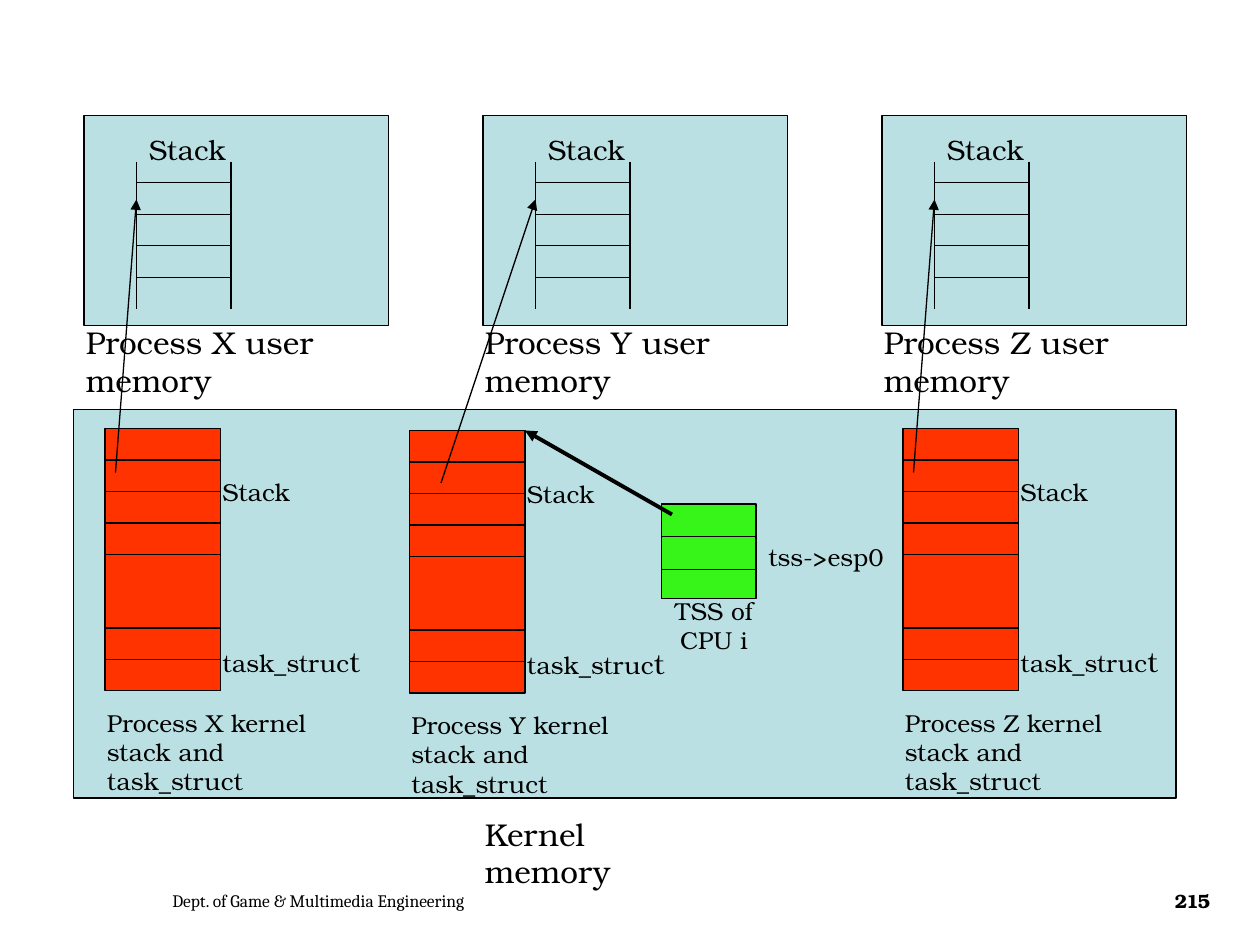
import pptx
import pptx.util
import pptx.dml.color
import pptx.enum.shapes
import pptx.enum.text
import pptx.oxml
import pptx.oxml.ns

Pt = pptx.util.Pt
tint = pptx.dml.color.RGBColor.from_string
kinds = pptx.enum.shapes
txt = pptx.enum.text
qn = pptx.oxml.ns.qn

INK, PALE, RED, GREEN = "000000", "BBE0E3", "FF3300", "38F519"
SERIF = "TeX Gyre Bonum"


def box(home, x, y, w, h, runs=(), fill=None, font=SERIF):
    """Add a filled rectangle, or a text box with (text, size) runs."""
    at = Pt(x), Pt(y), Pt(w), Pt(h)
    if fill:
        shape = home.add_shape(kinds.MSO_SHAPE.RECTANGLE, *at)
        shape.shadow.inherit = False
        shape.fill.solid()
        shape.fill.fore_color.rgb = tint(fill)
        shape.line.color.rgb = tint(INK)
        shape.line.width = Pt(0.75)
        return shape
    shape = home.add_textbox(*at)
    frame = shape.text_frame
    frame.word_wrap = True
    frame.auto_size = txt.MSO_AUTO_SIZE.SHAPE_TO_FIT_TEXT
    for words, size in runs:
        run = frame.paragraphs[0].add_run()
        run.text = words
        run.font.size = Pt(size)
        run.font.name = font
        run.font.color.rgb = tint(INK)
    return shape


def line(home, x1, y1, x2, y2, width=0.75, arrow=False):
    link = home.add_connector(kinds.MSO_CONNECTOR.STRAIGHT,
                              Pt(x1), Pt(y1), Pt(x2), Pt(y2))
    link.line.color.rgb = tint(INK)
    link.line.width = Pt(width)
    if arrow:
        tip = pptx.oxml.parse_xml(
            '<a:tailEnd xmlns:a="http://schemas.openxmlformats.org/'
            'drawingml/2006/main" type="triangle"/>')
        link.line._get_or_add_ln().append(tip)
    props = link._element.spPr
    props.append(props.makeelement(qn("a:effectLst"), {}))


deck = pptx.Presentation()
deck.slide_width, deck.slide_height = Pt(720), Pt(540)
slide = deck.slides.add_slide(deck.slide_layouts[6])
root = slide.shapes

# Kernel memory
box(root, 42, 234, 630, 222, fill=PALE)
box(root, 270, 462, 144, 29, [("Kernel memory", 18)])

# Name, left of user memory, left and top of kernel stack
tasks = [("X", 48, 60, 244.8), ("Y", 276, 234, 246), ("Z", 504, 516, 244.8)]

# User memory with its stack
for name, x, _, _ in tasks:
    box(root, x, 66, 174, 120, fill=PALE)
    stack = root.add_group_shape().shapes
    left, right = x + 30, x + 84
    box(stack, left, 72, 72, 26.5, [("Stack", 16)])
    for side in (left, right):
        line(stack, side, 92.4, side, 176.4)
    for row in range(4):
        y = 104.4 + 18 * row
        line(stack, left, y, right, y)
    box(root, x - 6, 181.2, 216, 29, [(f"Process {name} user memory", 18)])

# Task state segment
tss = root.add_group_shape().shapes
box(tss, 378, 288, 54, 54, fill=GREEN)
for y in (306.7, 325.4):
    line(tss, 378, y, 432, y)
label = box(tss, 372, 337, 72, 41, [("TSS of CPU i", 14)])
label.text_frame.paragraphs[0].alignment = txt.PP_ALIGN.CENTER
box(tss, 432, 306, 102, 24, [("tss->esp0", 14)])

# Kernel stack and task_struct of each process
for name, _, x, y in tasks:
    part = root.add_group_shape().shapes
    box(part, x, y, 66, 150, fill=RED)
    for step in (18, 36, 54, 72, 114, 132):
        line(part, x, y + step, x + 66, y + step)
    box(part, x + 60, y + 24, 72, 24, [("Stack", 14)])
    box(part, x + 60, y + 120, 96, 26.5, [("task_struc", 14), ("t", 16)])
    box(part, x - 6, y + 156, 156, 41,
        [(f"Process {name} kernel stack and task_struct", 14)])

# Pointers
line(root, 384, 294, 300, 246, 2.25, arrow=True)
for (_, x, _, _), (x1, y1) in zip(tasks, [(66, 270), (252, 276), (522, 270)]):
    line(root, x1, y1, x + 30, 114, arrow=True)

# Footer and page number
foot = box(root, 91.4, 500.4, 330.5, 28.8,
           [("Dept. of Game & Multimedia Engineering", 10)], font="Cambria")
page = box(root, 662.4, 500.4, 38.2, 28.8, [("215", 11)])
for item in (foot, page):
    item.text_frame.auto_size = txt.MSO_AUTO_SIZE.NONE
    item.text_frame.vertical_anchor = txt.MSO_ANCHOR.MIDDLE
para = page.text_frame.paragraphs[0]
para.alignment = txt.PP_ALIGN.CENTER
para.runs[0].font.bold = True
para.runs[0].font._element.set("spc", "-70")

deck.save("out.pptx")
